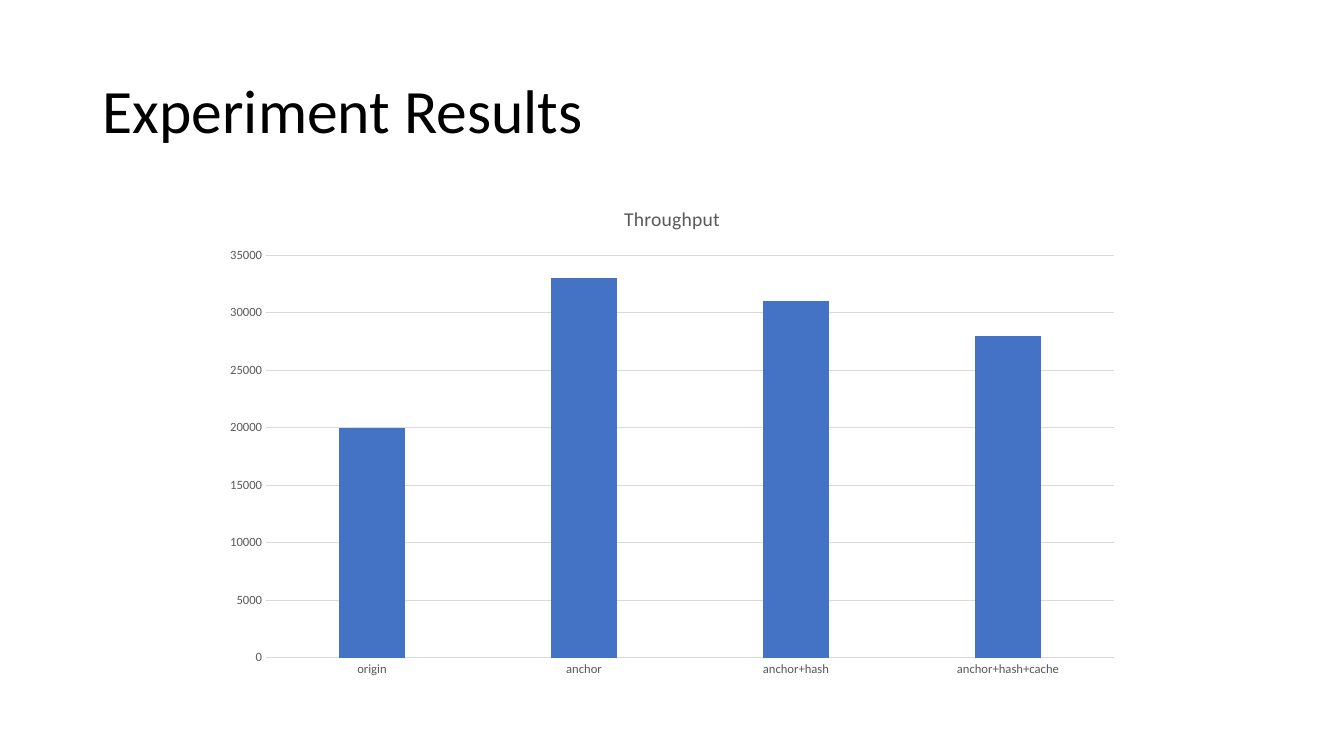
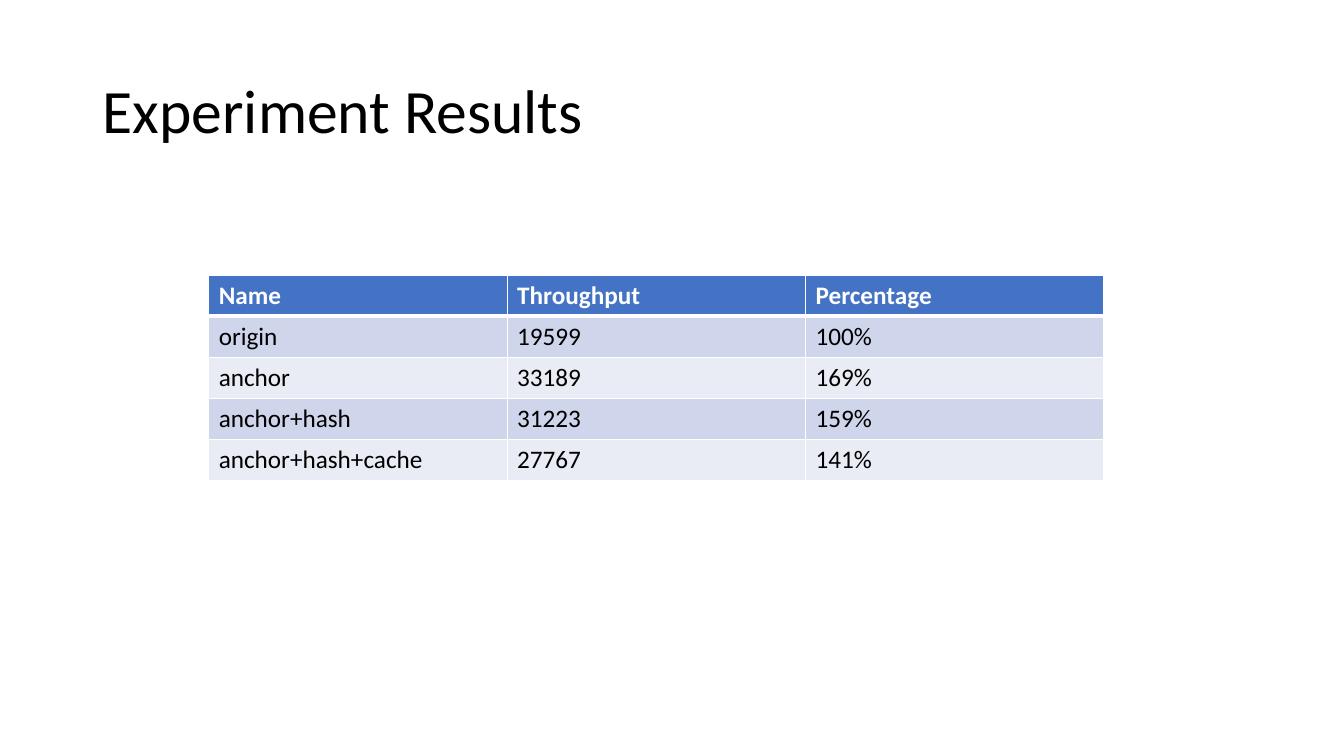
from dataclasses import dataclass

from lxml import etree
from pptx import Presentation
from pptx import util as u
from pptx.chart.data import CategoryChartData
from pptx.dml.color import RGBColor
from pptx.enum import chart as ch
from pptx.enum import text as tx
from pptx.oxml.ns import qn


@dataclass(frozen=True)
class Theme:
    font: str = "Calibri"
    black: str = "000000"
    white: str = "FFFFFF"
    gray: str = "595959"
    rule: str = "D9D9D9"
    blue: str = "4472C4"
    bands: tuple = ("CFD5EA", "E9EBF5")
    head: int = 44
    cell: int = 18
    label: int = 14
    tick: int = 9


THEME = Theme()
TITLE = "Experiment Results"
HEADS = ("Name", "Throughput", "Percentage")
RUNS = (
    ("origin", 19599, "100%"),
    ("anchor", 33189, "169%"),
    ("anchor+hash", 31223, "159%"),
    ("anchor+hash+cache", 27767, "141%"),
)


def rgb(code):
    return RGBColor.from_string(code)


def style(font, size, color, bold=False):
    font.name, font.size, font.bold = THEME.font, u.Pt(size), bold
    font.color.rgb = rgb(color)


def put(frame, words, size, color, bold=False, align=None, space=None):
    frame.text = words
    para = frame.paragraphs[0]
    para.alignment, para.line_spacing = align, space
    style(para.runs[0].font, size, color, bold)


def place(shape, box):
    shape.left, shape.top, shape.width, shape.height = map(u.Inches, box)


def add_page(deck):
    page = deck.slides.add_slide(deck.slide_layouts[5])
    title = page.shapes.title
    place(title, (0.92, 0.4, 11.5, 1.45))
    title.text_frame.vertical_anchor = tx.MSO_ANCHOR.MIDDLE
    put(title.text_frame, TITLE, THEME.head, THEME.black,
        align=tx.PP_ALIGN.LEFT, space=0.9)
    return page


def draw_rule(line):
    line.color.rgb = rgb(THEME.rule)
    line.width = u.Pt(0.75)


def add_bars(page, box):
    """Chart the throughput of each run, rounded to thousands."""
    data = CategoryChartData()
    data.categories = [run[0] for run in RUNS]
    data.add_series(HEADS[1], [round(run[1], -3) for run in RUNS])
    chart = page.shapes.add_chart(
        ch.XL_CHART_TYPE.COLUMN_CLUSTERED, *map(u.Inches, box), data).chart
    style(chart.font, THEME.tick, THEME.gray)
    chart.has_legend = False
    chart.has_title = True
    put(chart.chart_title.text_frame, HEADS[1], THEME.label, THEME.gray)

    plot = chart.plots[0]
    plot.gap_width, plot.overlap, plot.vary_by_categories = 219, -27, False
    fill = plot.series[0].format.fill
    fill.solid()
    fill.fore_color.rgb = rgb(THEME.blue)

    names, scale = chart.category_axis, chart.value_axis
    for axis in (names, scale):
        axis.major_tick_mark = axis.minor_tick_mark = ch.XL_TICK_MARK.NONE
        style(axis.tick_labels.font, THEME.tick, THEME.gray)
    draw_rule(names.format.line)
    scale.format.line.fill.background()
    scale.minimum_scale, scale.maximum_scale, scale.major_unit = 0, 35000, 5000
    scale.has_major_gridlines = True
    draw_rule(scale.major_gridlines.format.line)


def add_edge(cell, side, width):
    """Draw one white cell border; side is L, R, T or B."""
    line = etree.SubElement(cell._tc.get_or_add_tcPr(), qn(f"a:ln{side}"),
                            w=str(u.Pt(width)))
    fill = etree.SubElement(line, qn("a:solidFill"))
    etree.SubElement(fill, qn("a:srgbClr"), val=THEME.white)


def add_grid(page, box):
    rows = (HEADS, *RUNS)
    grid = page.shapes.add_table(
        len(rows), len(HEADS), *map(u.Inches, box)).table
    for r, row in enumerate(rows):
        top = r == 0
        for c, value in enumerate(row):
            cell = grid.cell(r, c)
            put(cell.text_frame, str(value), THEME.cell,
                THEME.white if top else THEME.black, bold=top)
            for side in "LRTB":
                thick = (top and side == "B") or (r == 1 and side == "T")
                add_edge(cell, side, 3 if thick else 1)
            cell.fill.solid()
            cell.fill.fore_color.rgb = rgb(
                THEME.blue if top else THEME.bands[(r - 1) % 2])


def main():
    deck = Presentation()
    deck.slide_width, deck.slide_height = u.Inches(13.33), u.Inches(7.5)
    add_bars(add_page(deck), (2.1, 1.85, 9.13, 4.96))
    add_grid(add_page(deck), (2.07, 2.73, 8.88, 2.04))
    deck.save("out.pptx")


if __name__ == "__main__":
    main()
